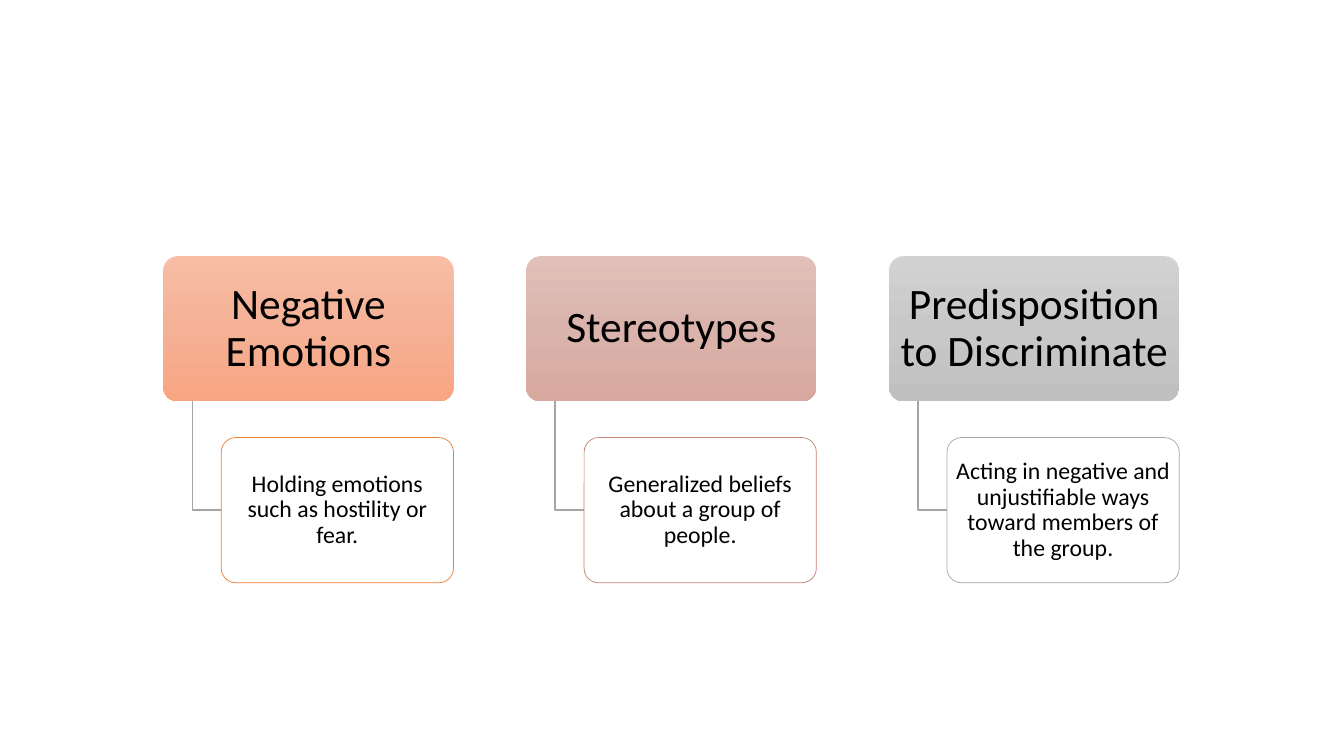
from copy import deepcopy

from lxml.etree import SubElement
from pptx import Presentation
from pptx.dml.color import RGBColor
from pptx.enum.shapes import MSO_SHAPE as Preset
from pptx.enum.text import MSO_ANCHOR as Anchor, PP_ALIGN as Align
from pptx.oxml.ns import qn
from pptx.util import Pt

COLORS = {
    "text": "000000",
    "white": "FFFFFF",
    "gray": "A5A5A5",
    "orange": "ED7D31",
    "rose": "C48170",
}
COLUMNS = [
    ("Negative Emotions", "Holding emotions such as hostility or fear.",
     ("F7BDA5", "F5B196", "F8A582"), "orange"),
    ("Stereotypes", "Generalized beliefs about a group of people.",
     ("E0C0B9", "DAB4AC", "D7A89E"), "rose"),
    ("Predisposition to Discriminate",
     "Acting in negative and unjustifiable ways toward members of the group.",
     ("D2D2D2", "C8C8C8", "C0C0C0"), "gray"),
]
LEFT, TOP, PITCH = 116.6, 183, 259.2
HEAD_WIDTH, HEIGHT = 207.36, 103.68
INDENT = HEAD_WIDTH / 5
DETAIL_TOP = TOP + HEIGHT * 1.25


def add_card(left, top, width, text, size, margin_x, margin_y):
    card = slide.shapes.add_shape(
        Preset.ROUNDED_RECTANGLE, Pt(left), Pt(top), Pt(width), Pt(HEIGHT))
    card.adjustments[0] = 0.1
    card.shadow.inherit = False
    frame = card.text_frame
    frame.word_wrap = True
    frame.vertical_anchor = Anchor.MIDDLE
    frame.margin_left = frame.margin_right = Pt(margin_x)
    frame.margin_top = frame.margin_bottom = Pt(margin_y)
    frame.text = text
    para = frame.paragraphs[0]
    para.alignment = Align.CENTER
    para.line_spacing = 0.9
    span = para.runs[0]
    span.font.name = "Calibri"
    span.font.size = Pt(size)
    span.font.color.rgb = RGBColor.from_string(COLORS["text"])
    return card


deck = Presentation()
deck.slide_width, deck.slide_height = Pt(960), Pt(540)
slide = deck.slides.add_slide(deck.slide_layouts[6])

for index, (heading, detail, shades, outline) in enumerate(COLUMNS):
    left = LEFT + index * PITCH

    head = add_card(left, TOP, HEAD_WIDTH, heading, 31, 4.3, 2.9)
    head.line.fill.background()
    head.fill.gradient()
    head.fill.gradient_angle = 270
    stop_list = head._element.spPr.find(qn("a:gradFill")).find(qn("a:gsLst"))
    stop_list.insert(1, deepcopy(stop_list[0]))
    for step, (stop, shade) in enumerate(zip(head.fill.gradient_stops, shades)):
        stop.position = step / 2
        stop.color.rgb = RGBColor.from_string(shade)

    elbow_x = left + INDENT / 2
    elbow_y = DETAIL_TOP + HEIGHT / 2
    builder = slide.shapes.build_freeform(Pt(elbow_x), Pt(TOP + HEIGHT))
    builder.add_line_segments(
        [(Pt(elbow_x), Pt(elbow_y)), (Pt(left + INDENT), Pt(elbow_y))], close=False)
    elbow = builder.convert_to_shape()
    elbow.shadow.inherit = False
    elbow.fill.background()
    elbow.line.color.rgb = RGBColor.from_string(COLORS["gray"])
    elbow.line.width = Pt(1)

    box = add_card(left + INDENT, DETAIL_TOP, HEAD_WIDTH - INDENT, detail, 17, 2.9, 1.7)
    box.fill.solid()
    box.fill.fore_color.rgb = RGBColor.from_string(COLORS["white"])
    white = box._element.spPr.find(qn("a:solidFill"))[0]
    SubElement(white, qn("a:alpha"), val="90000")
    box.line.color.rgb = RGBColor.from_string(COLORS[outline])
    box.line.width = Pt(0.5)

deck.save("out.pptx")
